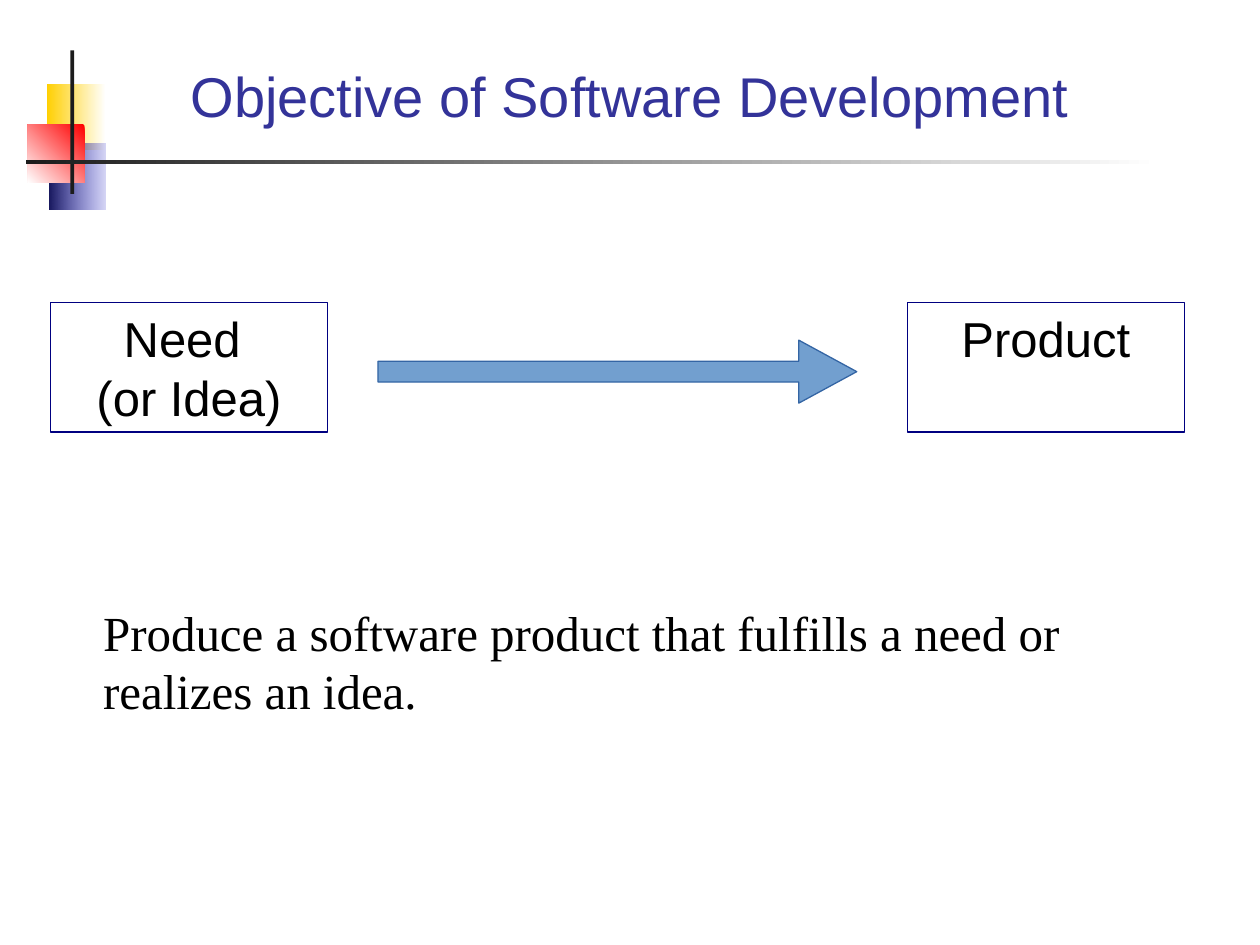
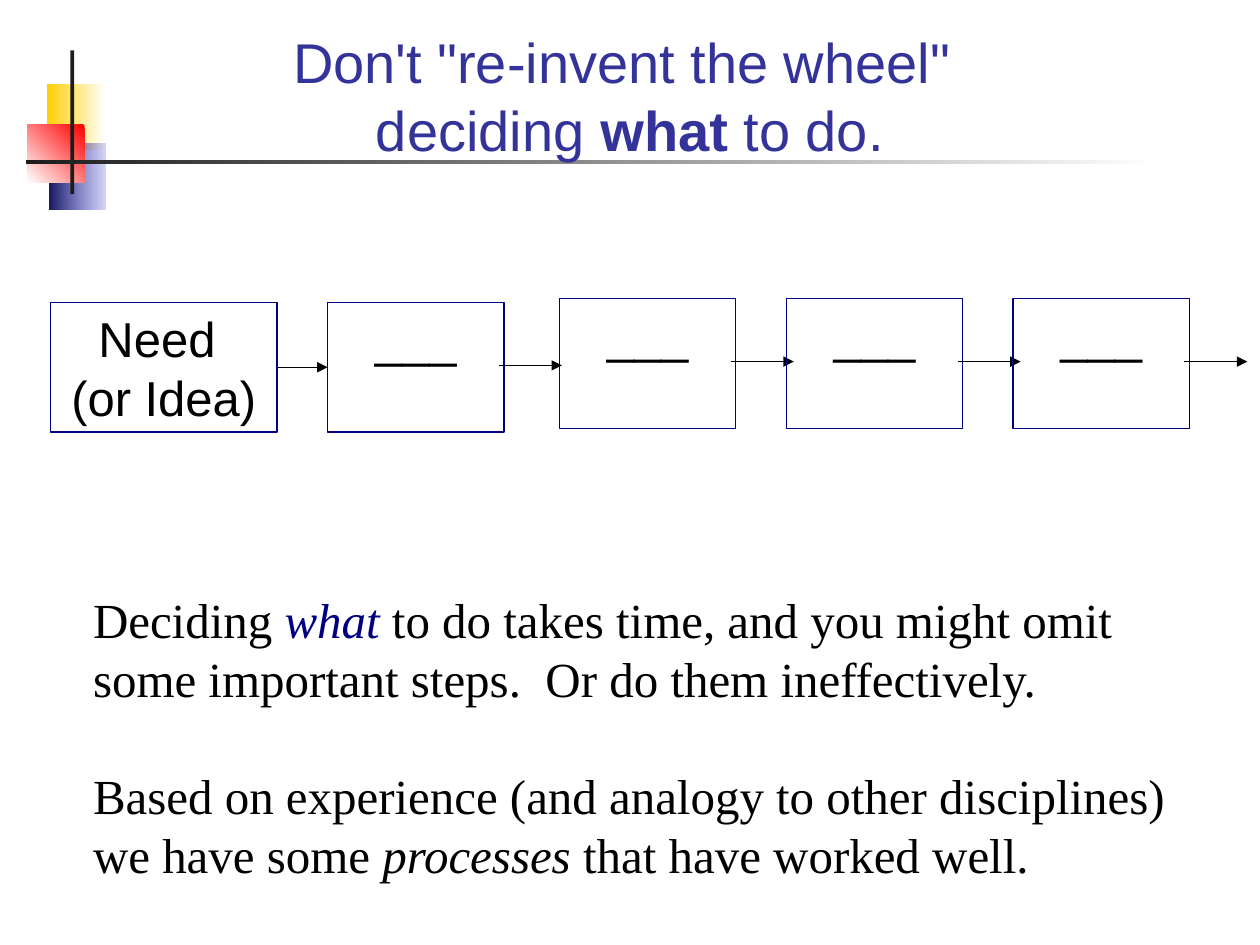
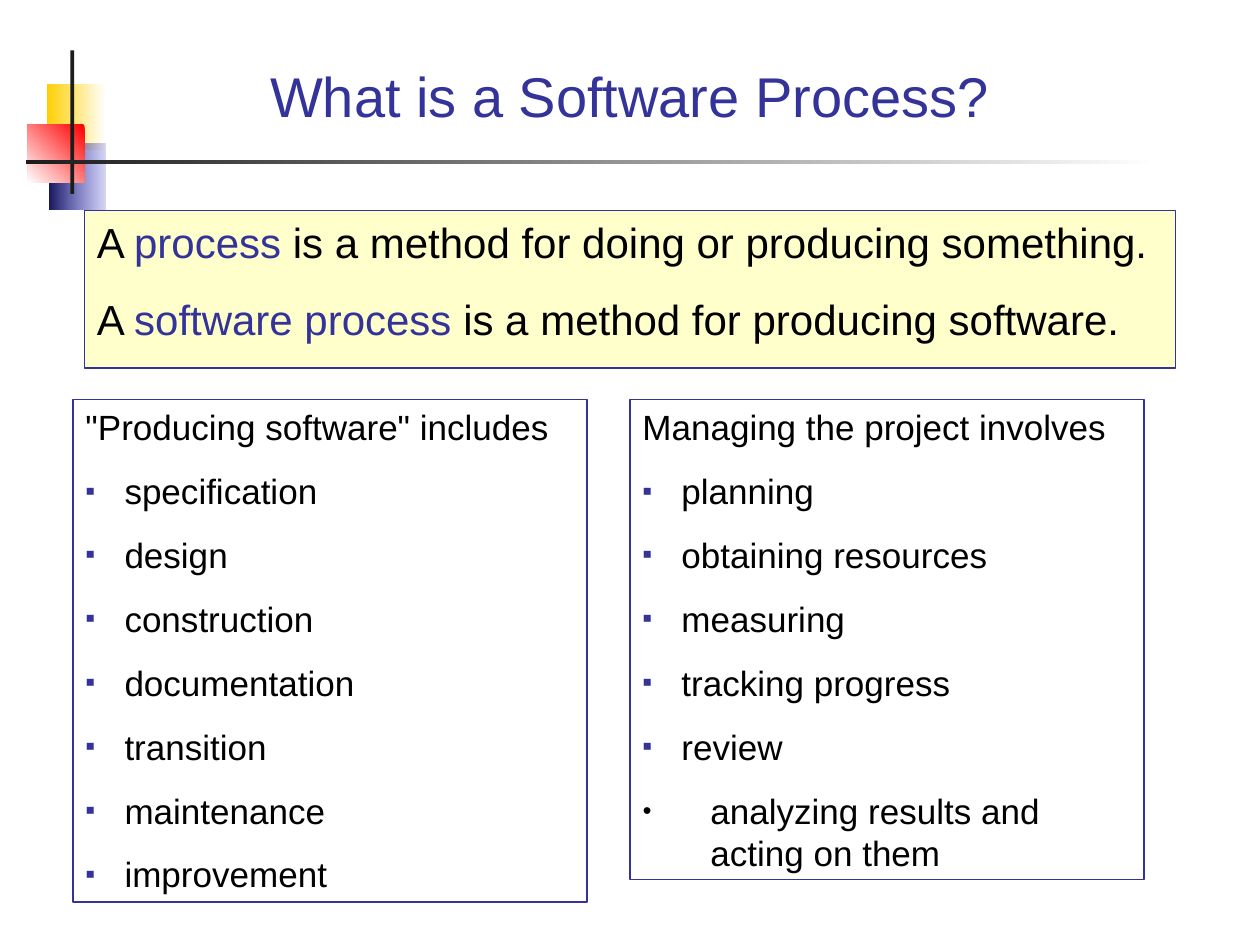
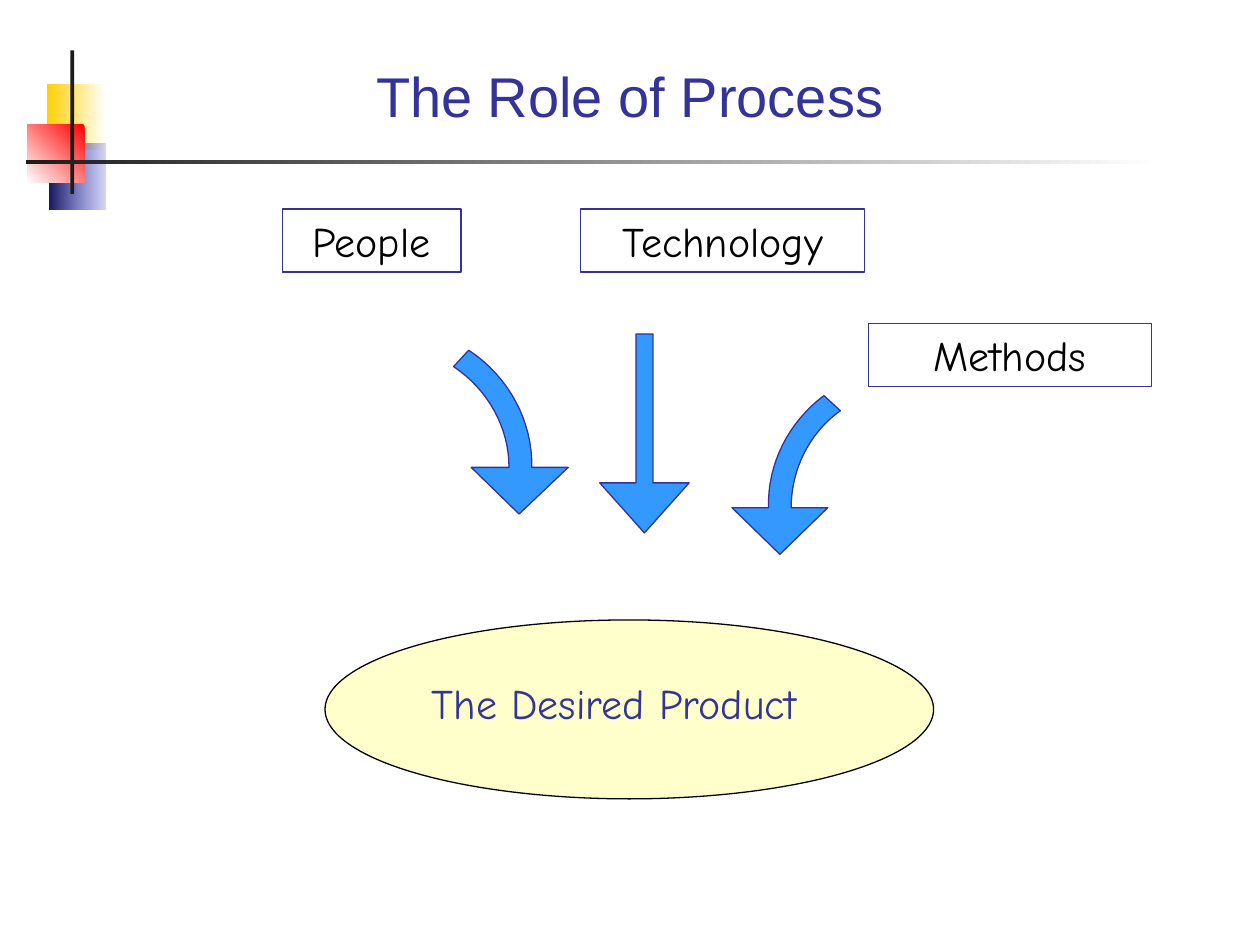
from dataclasses import dataclass
from typing import NamedTuple, Optional

from lxml import etree
from pptx import Presentation, util as u
from pptx.dml.color import RGBColor
from pptx.enum import shapes, text
from pptx.oxml import ns

# Colours
INDIGO = RGBColor(0x33, 0x33, 0x99)
NAVY = RGBColor(0x00, 0x00, 0x80)
BLACK = RGBColor(0x00, 0x00, 0x00)
WHITE = RGBColor(0xFF, 0xFF, 0xFF)
CHARCOAL = RGBColor(0x1C, 0x1C, 0x1C)
GOLD = RGBColor(0xFF, 0xCF, 0x01)
RED = RGBColor(0xFF, 0x00, 0x00)
BLUE = RGBColor(0x33, 0x33, 0xCC)
MIDNIGHT = RGBColor(0x17, 0x17, 0x5E)
CREAM = RGBColor(0xFF, 0xFF, 0xCC)
STEEL = RGBColor(0x72, 0x9F, 0xCF)
STEEL_EDGE = RGBColor(0x34, 0x65, 0xA4)
SKY = RGBColor(0x33, 0x99, 0xFF)

SANS, SERIF, HAND = "Arial", "Times New Roman", "Comic Neue"
PRESET = shapes.MSO_SHAPE
CENTER = text.PP_ALIGN.CENTER


class Box(NamedTuple):
    left: float
    top: float
    width: float
    height: float

    def emu(self) -> list:
        return [u.Inches(value) for value in self]


class Point(NamedTuple):
    x: float
    y: float


class Run(NamedTuple):
    words: str
    format: dict = {}


@dataclass
class Bullet:
    mark: str
    color: RGBColor
    percent: int


@dataclass
class Paragraph:
    runs: list
    align: Optional[int] = None
    space_before: float = 0
    indent: float = 0
    bullet: Optional[Bullet] = None


@dataclass
class Style:
    name: str
    size: float
    color: RGBColor = BLACK


@dataclass
class Gradient:
    start: RGBColor
    end: RGBColor
    angle: int
    start_alpha: int = 100


@dataclass
class CurvedArrow:
    inner: list  # Bezier points from the head to the tail
    outer: list  # Bezier points from the tail to the head
    head: list


TITLE = Style(SANS, 32, INDIGO)
BOX_LABEL = Style(SANS, 28)
BODY = Style(SERIF, 28)
DEFINITION = Style(SANS, 24)
LISTING = Style(SANS, 20)
HANDWRITTEN = Style(HAND, 24)


# Text
def plain(words: str, **options) -> Paragraph:
    return Paragraph([Run(words)], **options)


def add_bullet(properties, bullet: Bullet) -> None:
    color = etree.SubElement(properties, ns.qn("a:buClr"))
    etree.SubElement(color, ns.qn("a:srgbClr"), val=str(bullet.color))
    etree.SubElement(properties, ns.qn("a:buSzPct"), val=str(bullet.percent * 1000))
    etree.SubElement(properties, ns.qn("a:buFont"), typeface=SANS)
    etree.SubElement(properties, ns.qn("a:buChar"), char=bullet.mark)


def add_run(paragraph, run: Run, style: Style) -> None:
    for number, line in enumerate(run.words.split("\n")):
        if number:
            paragraph.add_line_break()
        piece = paragraph.add_run()
        piece.text = line
        formats = {"name": style.name, "size": u.Pt(style.size), "color": style.color}
        for key, value in (formats | run.format).items():
            if key == "color":
                piece.font.color.rgb = value
            else:
                setattr(piece.font, key, value)


def write(shape, paragraphs: list, style: Style, anchor=text.MSO_ANCHOR.TOP) -> None:
    frame = shape.text_frame
    settings = {
        "word_wrap": True,
        "auto_size": text.MSO_AUTO_SIZE.NONE,
        "vertical_anchor": anchor,
        "margin_left": u.Inches(0.1),
        "margin_right": u.Inches(0.1),
        "margin_top": u.Inches(0.05),
        "margin_bottom": u.Inches(0.05),
    }
    for key, value in settings.items():
        setattr(frame, key, value)
    for number, content in enumerate(paragraphs):
        paragraph = frame.add_paragraph() if number else frame.paragraphs[0]
        paragraph.alignment = content.align or text.PP_ALIGN.LEFT
        paragraph.space_before = u.Pt(content.space_before)
        properties = paragraph._p.get_or_add_pPr()
        if content.indent:
            properties.set("marL", str(u.Inches(content.indent)))
            properties.set("indent", str(u.Inches(-content.indent)))
        if content.bullet:
            add_bullet(properties, content.bullet)
        for run in content.runs:
            add_run(paragraph, run, style)


def add_text(slide, box: Box, paragraphs: list, style: Style) -> None:
    write(slide.shapes.add_textbox(*box.emu()), paragraphs, style)


# Shapes
def paint(shape, fill=None, line=None) -> None:
    shape.shadow.inherit = False
    if isinstance(fill, Gradient):
        shape.fill.gradient()
        shape.fill.gradient_angle = fill.angle
        stops = shape.fill.gradient_stops
        for stop, position, color in zip(stops, (0, 1), (fill.start, fill.end)):
            stop.position = position
            stop.color.rgb = color
        if fill.start_alpha < 100:
            color = next(shape.element.spPr.iter(ns.qn("a:srgbClr")))
            etree.SubElement(color, ns.qn("a:alpha"), val=str(fill.start_alpha * 1000))
    elif fill is not None:
        shape.fill.solid()
        shape.fill.fore_color.rgb = fill
    else:
        shape.fill.background()
    if line is None:
        shape.line.fill.background()
    else:
        shape.line.color.rgb = line
        shape.line.width = u.Pt(0.75)


def add_preset(slide, preset, box: Box, fill=None, line=None, adjustments=()):
    shape = slide.shapes.add_shape(preset, *box.emu())
    for number, value in enumerate(adjustments):
        shape.adjustments[number] = value
    paint(shape, fill, line)
    return shape


def add_text_box(slide, box: Box, paragraphs: list, style: Style, line, fill=None):
    shape = add_preset(slide, PRESET.RECTANGLE, box, fill, line)
    write(shape, paragraphs, style)
    return shape


def add_label(slide, box: Box, words: str, style: Style = BOX_LABEL, line=NAVY):
    return add_text_box(slide, box, [plain(words, align=CENTER)], style, line)


def add_arrow(slide, start: Point, end: Point):
    ends = [u.Inches(value) for value in (*start, *end)]
    arrow = slide.shapes.add_connector(shapes.MSO_CONNECTOR.STRAIGHT, *ends)
    arrow.line.color.rgb = BLACK
    arrow.line.width = u.Pt(0.75)
    properties = arrow.element.spPr
    etree.SubElement(properties.find(ns.qn("a:ln")), ns.qn("a:tailEnd"), type="triangle")
    etree.SubElement(properties, ns.qn("a:effectLst"))
    return arrow


def bezier(controls: list, steps: int = 16) -> list:
    points = []
    for step in range(steps + 1):
        t = step / steps
        weights = ((1 - t) ** 3, 3 * t * (1 - t) ** 2, 3 * t * t * (1 - t), t ** 3)
        points.append(Point(*(sum(w * c for w, c in zip(weights, axis))
                              for axis in zip(*controls))))
    return points


def add_curved_arrow(slide, arrow: CurvedArrow) -> None:
    outline = bezier(arrow.inner) + bezier(arrow.outer) + arrow.head
    points = [(u.Inches(x), u.Inches(y)) for x, y in outline]
    builder = slide.shapes.build_freeform(*points[0])
    builder.add_line_segments(points[1:], close=True)
    paint(builder.convert_to_shape(), SKY, INDIGO)


# Shared layout: corner squares and cross lines
DECORATION = [
    (Box(0.37, 0.67, 0.47, 0.52), Gradient(WHITE, GOLD, 180)),
    (Box(0.39, 1.14, 0.45, 0.52), Gradient(BLUE, MIDNIGHT, 180, 20)),
    (Box(0.22, 0.99, 0.45, 0.46), Gradient(RED, WHITE, 225)),
    (Box(0.56, 0.4, 0.03, 1.14), CHARCOAL),
    (Box(0.21, 1.27, 8.99, 0.03), Gradient(WHITE, CHARCOAL, 180)),
]


def decorate_layout(layout, slide) -> None:
    """Draw the decoration on a slide, then move it behind the layout's parts."""
    tree = layout.shapes.element
    for position, (box, fill) in enumerate(DECORATION, start=2):
        tree.insert(position, add_preset(slide, PRESET.RECTANGLE, box, fill).element)


def set_title(slide, runs: list, box: Box = Box(0.67, 0.28, 8.66, 0.95)) -> None:
    title = slide.shapes.title
    title.left, title.top, title.width, title.height = box.emu()
    write(title, [Paragraph(runs, CENTER)], TITLE, text.MSO_ANCHOR.MIDDLE)


# Slide 1
def build_objective(slide) -> None:
    set_title(slide, [Run("Objective of Software Development")])
    for left, words in ((0.4, "Need \n(or Idea)"), (7.2, "Product")):
        add_label(slide, Box(left, 2.4, 2.2, 1.03), words)
    add_preset(slide, PRESET.RIGHT_ARROW, Box(3, 2.7, 3.8, 0.5), STEEL, STEEL_EDGE,
               (0.33, 0.92))
    add_text(slide, Box(0.72, 4.73, 8.6, 1.03), [plain(
        "Produce a software product that fulfills a need or realizes an idea.")], BODY)


# Slide 2
def build_wheel(slide) -> None:
    set_title(slide, [Run("Don't \"re-invent the wheel\" \ndeciding "),
                      Run("what", {"bold": True}), Run(" to do.")],
              Box(0.67, 0.17, 8.66, 1.17))
    need = add_label(slide, Box(0.4, 2.4, 1.8, 1.03), "Need \n(or Idea)")
    steps = []
    for left, top in ((2.6, 2.4), (4.44, 2.37), (6.24, 2.37), (8.04, 2.37)):
        steps.append(add_label(slide, Box(left, top, 1.4, 1.03), "___"))
        start = Point(left + 1.36, top + 0.5)
        add_arrow(slide, start, Point(start.x + 0.5, start.y))
    first_arrow = add_arrow(slide, Point(2.2, 2.9), Point(2.6, 2.9))
    first_arrow.begin_connect(need, 3)
    first_arrow.end_connect(steps[0], 1)
    add_text(slide, Box(0.64, 4.63, 8.97, 2.43), [
        Paragraph([Run("Deciding "), Run("what", {"italic": True, "color": NAVY}),
                   Run(" to do takes time, and you might omit some important steps.  "
                       "Or do them ineffectively.")]),
        Paragraph([Run("Based on experience (and analogy to other disciplines) "
                       "we have some "),
                   Run("processes", {"italic": True}),
                   Run(" that have worked well.")], space_before=33.5),
    ], BODY)


# Slide 3
SQUARE = Bullet("▪", INDIGO, 80)
DOT = Bullet("●", BLACK, 45)


def listing(heading: str, items: list) -> list:
    return [plain(heading, space_before=12.5, indent=0.31)] + [
        plain(item, space_before=12.5, indent=0.31, bullet=SQUARE) for item in items]


def build_process(slide) -> None:
    set_title(slide, [Run("What is a Software Process?")])
    definitions = [
        Paragraph([Run("A "), Run(term, {"color": INDIGO}), Run(meaning)],
                  space_before=15, indent=0.25)
        for term, meaning in (
            ("process", " is a method for doing or producing something."),
            ("software process", " is a method for producing software."))]
    add_text_box(slide, Box(0.67, 1.67, 8.66, 1.25), definitions, DEFINITION,
                 INDIGO, CREAM)
    producing = listing("\"Producing software\" includes", [
        "specification", "design", "construction", "documentation", "transition",
        "maintenance", "improvement"])
    managing = listing("Managing the project involves", [
        "planning", "obtaining resources", "measuring", "tracking progress", "review"])
    managing.append(plain("analyzing results and acting on them",
                          space_before=12.5, indent=0.54, bullet=DOT))
    for left, height, items in ((0.58, 3.99, producing), (5, 3.81, managing)):
        add_text_box(slide, Box(left, 3.17, 4.08, height), items, LISTING, INDIGO)


# Slide 4
CURVED_ARROWS = [
    CurvedArrow(
        [Point(4.04, 3.71), Point(4.04, 3.39), Point(3.87, 3.09), Point(3.6, 2.91)],
        [Point(3.72, 2.78), Point(4.04, 2.99), Point(4.23, 3.35), Point(4.22, 3.71)],
        [Point(4.51, 3.71), Point(4.12, 4.08), Point(3.74, 3.71)]),
    CurvedArrow(
        [Point(6.28, 4.03), Point(6.28, 3.73), Point(6.42, 3.44), Point(6.67, 3.26)],
        [Point(6.54, 3.14), Point(6.26, 3.35), Point(6.09, 3.68), Point(6.1, 4.03)],
        [Point(5.81, 4.03), Point(6.19, 4.4), Point(6.57, 4.03)]),
]


def build_role(slide) -> None:
    set_title(slide, [Run("The Role of Process")])
    add_preset(slide, PRESET.OVAL, Box(2.58, 4.92, 4.83, 1.42), CREAM, BLACK)
    for words, left, top, width in (("People", 2.24, 1.66, 1.42),
                                    ("Technology", 4.61, 1.66, 2.25),
                                    ("Methods", 6.89, 2.57, 2.25)):
        add_label(slide, Box(left, top, width, 0.5), words, HANDWRITTEN, INDIGO)
    add_text(slide, Box(3.33, 5.33, 3.75, 0.5), [plain("The Desired Product")],
             Style(HAND, 24, INDIGO))
    for arrow in CURVED_ARROWS:
        add_curved_arrow(slide, arrow)
    add_preset(slide, PRESET.DOWN_ARROW, Box(4.76, 2.65, 0.71, 1.58), SKY, INDIGO,
               (0.19, 0.56))


def main() -> None:
    presentation = Presentation()
    presentation.slide_width, presentation.slide_height = u.Inches(10), u.Inches(7.5)
    layout = presentation.slide_layouts[5]
    builders = (build_objective, build_wheel, build_process, build_role)
    slides = [presentation.slides.add_slide(layout) for _ in builders]
    decorate_layout(layout, slides[0])
    for build, slide in zip(builders, slides):
        build(slide)
    presentation.save("out.pptx")


if __name__ == "__main__":
    main()
